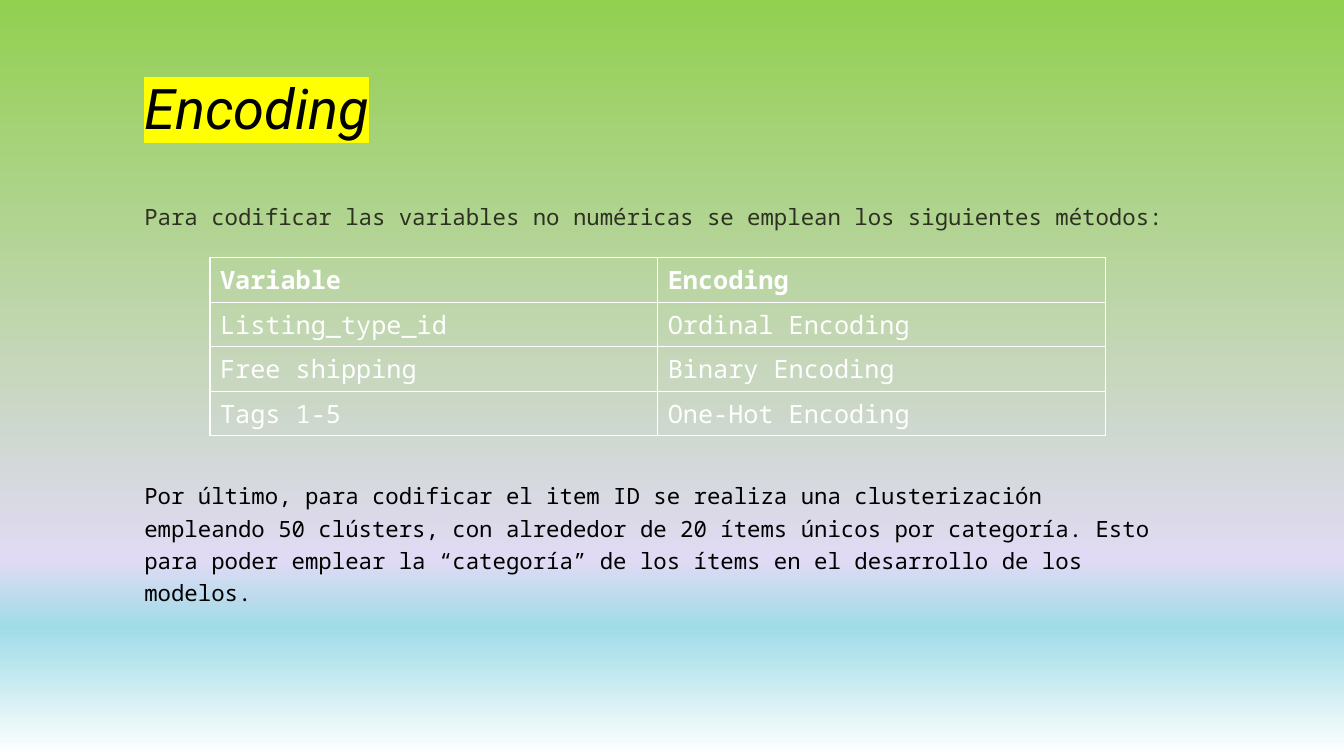
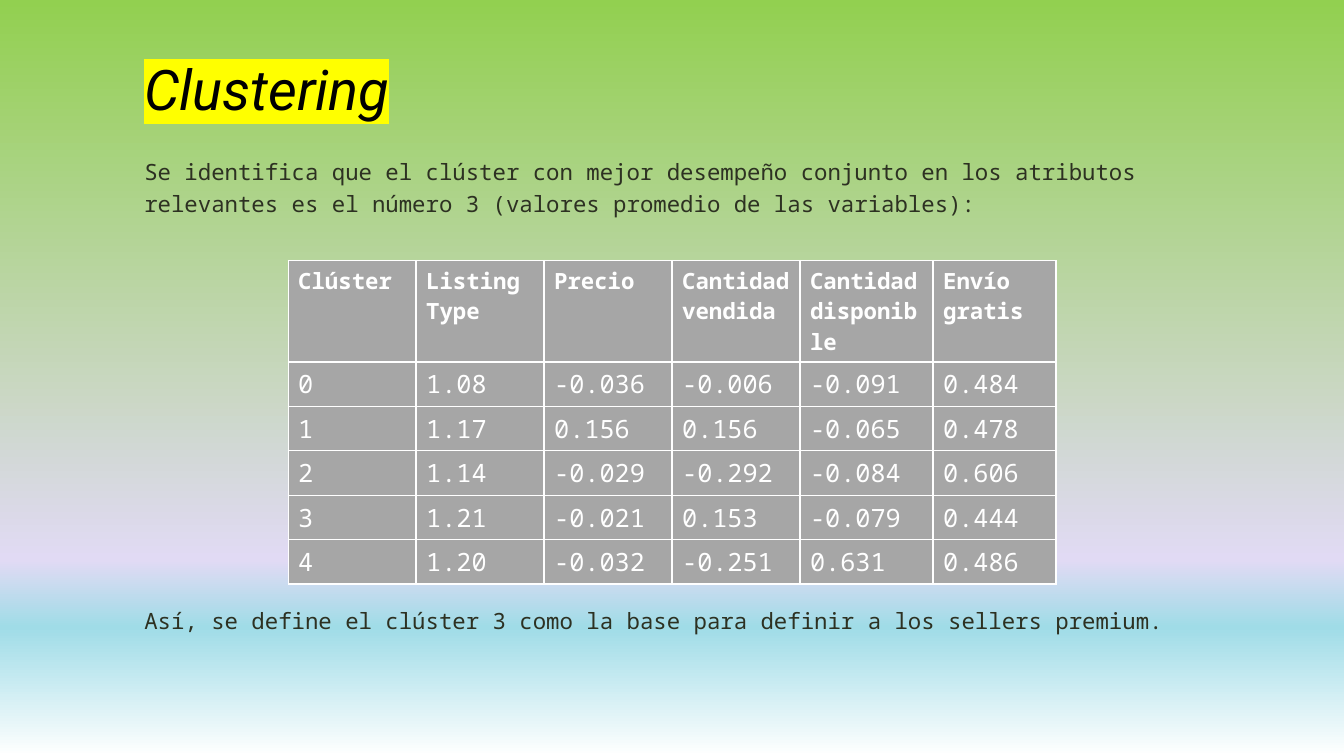
from dataclasses import dataclass
from typing import Optional

from lxml.etree import SubElement
from pptx import Presentation
from pptx.dml.color import RGBColor
from pptx.enum.text import MSO_ANCHOR, PP_ALIGN
from pptx.oxml import parse_xml
from pptx.oxml.ns import nsdecls, qn
from pptx.slide import Slide
from pptx.text.text import _Paragraph as Paragraph
from pptx.util import Inches, Pt

COLORS = {
    "black": "000000", "olive": "2D3122", "white": "FFFFFF",
    "gray": "A6A6A6", "marker": "FFFF00",
    "green": "92D050", "lilac": "E1DAF4", "aqua": "A0DCE7",
}
SKY = ((0, "green"), (74, "lilac"), (83, "aqua"), (100, "white"))
TITLE_FONT, TEXT_FONT = "Roboto", "Noto Sans Mono"
LINE_SPACING = 1.2

# Grid: 160 columns by 90 rows of square units
GRID_COLUMNS, GRID_ROWS = 160, 90
UNIT = Inches(7.5) / GRID_ROWS
MARGIN, CONTENT_WIDTH = 16, 124.6
TITLE_HEIGHT = 12.5
TABLE_ROW = 5.29


@dataclass(frozen=True)
class Passage:
    text: str
    top: float
    height: float
    color: str = "olive"


@dataclass(frozen=True)
class Grid:
    left: float
    top: float
    columns: tuple[float, ...]
    rows: tuple[tuple[str, ...], ...]
    header_size: int
    header_height: float = TABLE_ROW
    fill: Optional[str] = None


@dataclass(frozen=True)
class Topic:
    title: str
    title_top: float
    passages: tuple[Passage, ...]
    grid: Grid


def units(count: float) -> int:
    return round(count * UNIT)


def rgb(color: str) -> RGBColor:
    return RGBColor.from_string(COLORS[color])


def style(paragraph: Paragraph, face: str, size: int, color: str,
          bold: bool = False, italic: bool = False) -> None:
    font = paragraph.font
    font.name, font.size = face, Pt(size)
    font.bold, font.italic = bold, italic
    font.color.rgb = rgb(color)


def paint_sky(master) -> None:
    """Give every slide the same vertical gradient."""
    fill = master.background.fill
    fill.gradient()
    fill.gradient_angle = 270
    stops = master.element.find(f".//{qn('p:bg')}//{qn('a:gsLst')}")
    for stop in list(stops):
        stops.remove(stop)
    for share, color in SKY:
        stop = SubElement(stops, qn("a:gs"), pos=str(share * 1000))
        SubElement(stop, qn("a:srgbClr"), val=COLORS[color])


def add_title(slide: Slide, text: str, top: float) -> None:
    title = slide.shapes.title
    title.left, title.top = units(MARGIN), units(top)
    title.width, title.height = units(CONTENT_WIDTH), units(TITLE_HEIGHT)
    frame = title.text_frame
    frame.vertical_anchor = MSO_ANCHOR.BOTTOM
    heading = frame.paragraphs[0]
    heading.alignment, heading.line_spacing = PP_ALIGN.LEFT, LINE_SPACING
    style(heading, TITLE_FONT, 40, "black", italic=True)
    word = heading.add_run()
    word.text = text
    marker = SubElement(word._r.get_or_add_rPr(), qn("a:highlight"))
    SubElement(marker, qn("a:srgbClr"), val=COLORS["marker"])


def add_passage(slide: Slide, passage: Passage) -> None:
    frame = slide.shapes.add_textbox(
        units(MARGIN), units(passage.top),
        units(CONTENT_WIDTH), units(passage.height)).text_frame
    frame.word_wrap = True
    sentence = frame.paragraphs[0]
    sentence.text, sentence.line_spacing = passage.text, LINE_SPACING
    style(sentence, TEXT_FONT, 16, passage.color)


def add_borders(cell) -> None:
    properties = cell._tc.get_or_add_tcPr()
    for index, side in enumerate(("lnL", "lnR", "lnT", "lnB")):
        properties.insert(index, parse_xml(
            f'<a:{side} {nsdecls("a")} w="{Pt(1)}"><a:solidFill>'
            f'<a:srgbClr val="{COLORS["white"]}"/></a:solidFill></a:{side}>'))


def add_grid(slide: Slide, grid: Grid) -> None:
    heights = [grid.header_height] + [TABLE_ROW] * (len(grid.rows) - 1)
    table = slide.shapes.add_table(
        len(grid.rows), len(grid.columns), units(grid.left), units(grid.top),
        units(sum(grid.columns)), units(sum(heights))).table
    table.horz_banding = False
    for column, width in zip(table.columns, grid.columns):
        column.width = units(width)
    for row, height in zip(table.rows, heights):
        row.height = units(height)
    for row_index, values in enumerate(grid.rows):
        header = row_index == 0
        for column_index, value in enumerate(values):
            cell = table.cell(row_index, column_index)
            cell.text = value
            style(cell.text_frame.paragraphs[0], TEXT_FONT,
                  grid.header_size if header else 18, "white", bold=header)
            if grid.fill:
                cell.fill.solid()
                cell.fill.fore_color.rgb = rgb(grid.fill)
            else:
                cell.fill.background()
            add_borders(cell)


# Content
TOPICS = (
    Topic(
        "Encoding", 4.8,
        (Passage("Para codificar las variables no numéricas se emplean "
                 "los siguientes métodos:", 23, 5),
         Passage("Por último, para codificar el item ID se realiza una "
                 "clusterización empleando 50 clústers, con alrededor de 20 "
                 "ítems únicos por categoría. Esto para poder emplear la "
                 "“categoría” de los ítems en el desarrollo de los modelos.",
                 56.2, 16.5, "black")),
        Grid(25, 30.7, (53.3,) * 2, (
            ("Variable", "Encoding"),
            ("Listing_type_id", "Ordinal Encoding"),
            ("Free shipping", "Binary Encoding"),
            ("Tags 1-5", "One-Hot Encoding"),
        ), header_size=18),
    ),
    Topic(
        "Clustering", 2.6,
        (Passage("Se identifica que el clúster con mejor desempeño conjunto "
                 "en los atributos relevantes es el número 3 (valores "
                 "promedio de las variables):", 17.6, 9),
         Passage("Así, se define el clúster 3 como la base para definir a "
                 "los sellers premium.", 71, 5)),
        Grid(34.3, 31, (15.24,) * 4 + (15.84, 14.64), (
            ("Clúster", "Listing Type", "Precio", "Cantidad vendida",
             "Cantidad disponible", "Envío gratis"),
            ("0", "1.08", "-0.036", "-0.006", "-0.091", "0.484"),
            ("1", "1.17", "0.156", "0.156", "-0.065", "0.478"),
            ("2", "1.14", "-0.029", "-0.292", "-0.084", "0.606"),
            ("3", "1.21", "-0.021", "0.153", "-0.079", "0.444"),
            ("4", "1.20", "-0.032", "-0.251", "0.631", "0.486"),
        ), header_size=16, header_height=12.1, fill="gray"),
    ),
)

# Presentation
deck = Presentation()
deck.slide_width, deck.slide_height = units(GRID_COLUMNS), units(GRID_ROWS)
paint_sky(deck.slide_master)
title_only = deck.slide_layouts.get_by_name("Title Only")
for topic in TOPICS:
    page = deck.slides.add_slide(title_only)
    add_title(page, topic.title, topic.title_top)
    for passage in topic.passages:
        add_passage(page, passage)
    add_grid(page, topic.grid)
deck.save("out.pptx")
